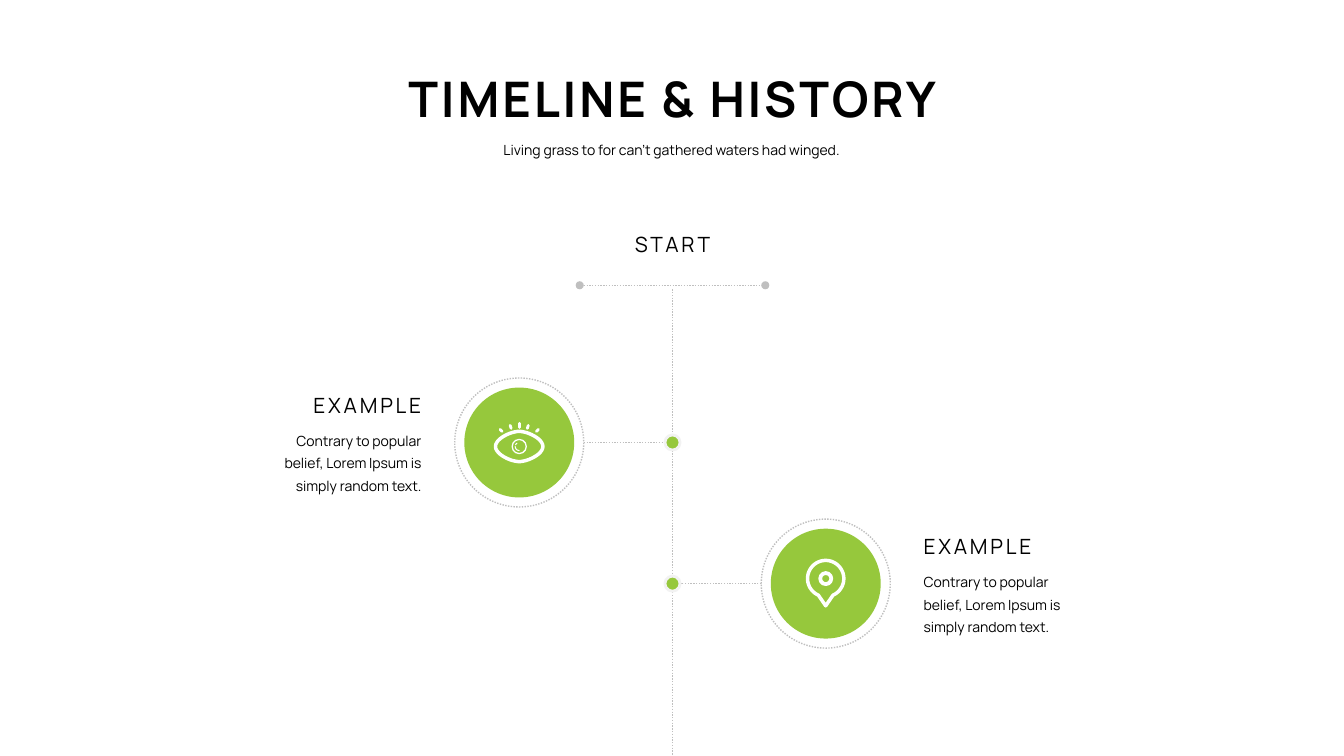
from dataclasses import dataclass
from math import cos, radians, sin

from lxml.etree import SubElement
from pptx import Presentation
from pptx.dml.color import RGBColor
from pptx.enum.dml import MSO_LINE
from pptx.enum.shapes import MSO_CONNECTOR, MSO_SHAPE
from pptx.enum.text import MSO_ANCHOR, MSO_AUTO_SIZE, PP_ALIGN
from pptx.oxml.ns import qn
from pptx.util import Inches, Pt


@dataclass(frozen=True)
class Theme:
    font: str = "Manrope"
    ink: str = "000000"
    green: str = "96C83C"
    grey: str = "BFBFBF"
    pale: str = "F2F2F2"
    white: str = "FFFFFF"
    title: int = 35
    heading: int = 15
    body: int = 10


theme = Theme()


def write(box, text, size, align, bold=False, tracking=0, leading=None):
    """Fill a text box with one formatted paragraph."""
    frame = box.text_frame
    frame.text = text
    frame.word_wrap = True
    frame.auto_size = MSO_AUTO_SIZE.NONE
    frame.vertical_anchor = MSO_ANCHOR.MIDDLE
    frame.margin_left = frame.margin_right = Inches(0.09)
    frame.margin_top = frame.margin_bottom = Inches(0.045)
    para = frame.paragraphs[0]
    para.alignment = align
    para.line_spacing = Pt(leading) if leading else 1.0
    span = para.runs[0]
    span.font.name = theme.font
    span.font.size = Pt(size)
    span.font.bold = bold
    span.font.color.rgb = RGBColor.from_string(theme.ink)
    span.font._element.set("spc", str(tracking * 100))


def paint(shape, fill=None, line=None, width=1.0, dotted=False):
    """Set fill and line of a shape or connector and drop its shadow."""
    if fill:
        shape.fill.solid()
        shape.fill.fore_color.rgb = RGBColor.from_string(fill)
    elif hasattr(shape, "fill"):
        shape.fill.background()
    if line:
        shape.line.color.rgb = RGBColor.from_string(line)
        shape.line.width = Pt(width)
        if dotted:
            shape.line.dash_style = MSO_LINE.ROUND_DOT
        else:
            shape._element.spPr.find(qn("a:ln")).set("cap", "rnd")
    else:
        shape.line.fill.background()
    SubElement(shape._element.spPr, qn("a:effectLst"))


deck = Presentation()
deck.slide_width, deck.slide_height = Inches(13.33), Inches(7.5)
page = deck.slides.add_slide(deck.slide_layouts[5])
shapes = page.shapes
axis = 6.67

# Title, subtitle and start label
title = shapes.title
title.left, title.top = Inches(3.25), Inches(0.63)
title.width, title.height = Inches(6.84), Inches(0.69)
write(title, "TIMELINE & HISTORY", theme.title, PP_ALIGN.CENTER, bold=True, tracking=2)
subtitle = shapes.add_textbox(Inches(4.36), Inches(1.35), Inches(4.6), Inches(0.27))
write(subtitle, "Living grass to for can't gathered waters had winged.",
      theme.body, PP_ALIGN.CENTER)
start = shapes.add_textbox(Inches(5.9), Inches(2.25), Inches(1.54), Inches(0.35))
write(start, "START", theme.heading, PP_ALIGN.CENTER, tracking=2)

# Dotted axis, start bar and branches
events = [(-1, 4.39), (1, 5.79)]
dotted_lines = [(axis, 2.87, axis, 7.5), (axis - 0.88, 2.83, axis + 0.88, 2.83)]
dotted_lines += [(axis + side * 0.88, y, axis + side * 0.08, y) for side, y in events]
for x1, y1, x2, y2 in dotted_lines:
    link = shapes.add_connector(MSO_CONNECTOR.STRAIGHT, Inches(x1), Inches(y1),
                                Inches(x2), Inches(y2))
    paint(link, line=theme.grey, dotted=True)

# Each event: end dot of the bar, axis dot, ringed disc, heading and text
for side, y in events:
    hub = axis + side * 1.52
    ovals = [
        (axis + side * 0.92, 2.83, 0.08, theme.grey, None, 1, False),
        (axis, y, 0.15, theme.green, theme.pale, 2, False),
        (hub, y, 1.28, None, theme.grey, 1, True),
        (hub, y, 1.09, theme.green, None, 1, False),
    ]
    for x, middle, size, *look in ovals:
        oval = shapes.add_shape(MSO_SHAPE.OVAL, Inches(x - size / 2),
                                Inches(middle - size / 2), Inches(size), Inches(size))
        paint(oval, *look)

    align = PP_ALIGN.RIGHT if side < 0 else PP_ALIGN.LEFT
    edge = axis + side * 2.4
    texts = [
        ("EXAMPLE", 1.54, -0.55, 0.35, theme.heading, 2, None),
        ("Contrary to popular belief, Lorem Ipsum is simply random text.",
         1.74, -0.2, 0.76, theme.body, 0, 16),
    ]
    for text, width, shift, height, size, tracking, leading in texts:
        left = edge - width if side < 0 else edge
        box = shapes.add_textbox(Inches(left), Inches(y + shift), Inches(width), Inches(height))
        write(box, text, size, align, tracking=tracking, leading=leading)

# Icon outlines: an eye from four mirrored curves, a pin from an arc and a tip
eye_x, eye_y = 5.15, 4.43
pin_x, pin_y = 8.19, 5.74
steps = [step / 12 for step in range(13)]
quarter = [(0.24 * t * (1 - t) ** 2 + 0.705 * t**2 * (1 - t) + 0.235 * t**3,
            0.15 * (1 - t) ** 3 + 0.45 * t * (1 - t) ** 2 + 0.24 * t**2 * (1 - t))
           for t in steps]
half = quarter + [(x, -y) for x, y in quarter[-2::-1]]
eye = [(eye_x + x, eye_y + y) for x, y in half + [(-x, -y) for x, y in half[1:-1]]]
pin = [(pin_x + 0.18 * cos(radians(angle)), pin_y + 0.18 * sin(radians(angle)))
       for angle in range(114, 427, 6)] + [(pin_x, 6.01)]
for outline in (eye, pin):
    points = [(Inches(x), Inches(y)) for x, y in outline]
    builder = shapes.build_freeform(*points[0])
    builder.add_line_segments(points[1:], close=True)
    paint(builder.convert_to_shape(), line=theme.white, width=2.5)

# Iris and pin centre
for x, y, size, width in [(eye_x, eye_y, 0.14, 0.9), (pin_x, pin_y, 0.11, 2.7)]:
    ring = shapes.add_shape(MSO_SHAPE.OVAL, Inches(x - size / 2), Inches(y - size / 2),
                            Inches(size), Inches(size))
    paint(ring, line=theme.white, width=width)

# Glints in the iris; arc angles are stored as 0.6 per degree
for begin, end in [(90, 180), (205, 235)]:
    glint = shapes.add_shape(MSO_SHAPE.ARC, Inches(eye_x - 0.04), Inches(eye_y - 0.04),
                             Inches(0.08), Inches(0.08))
    glint.adjustments[0], glint.adjustments[1] = begin * 0.6, end * 0.6
    paint(glint, line=theme.white, width=0.75)

# Lashes: inner end and outer end, mirrored around the eye's middle
lashes = [(0, 4.24, 0, 4.2)]
for side in (-1, 1):
    lashes += [(side * 0.08, 4.25, side * 0.09, 4.22), (side * 0.17, 4.28, side * 0.19, 4.26)]
for inner, low, outer, high in lashes:
    lash = shapes.add_connector(MSO_CONNECTOR.STRAIGHT, Inches(eye_x + inner), Inches(low),
                                Inches(eye_x + outer), Inches(high))
    paint(lash, line=theme.white, width=2)

deck.save("out.pptx")
